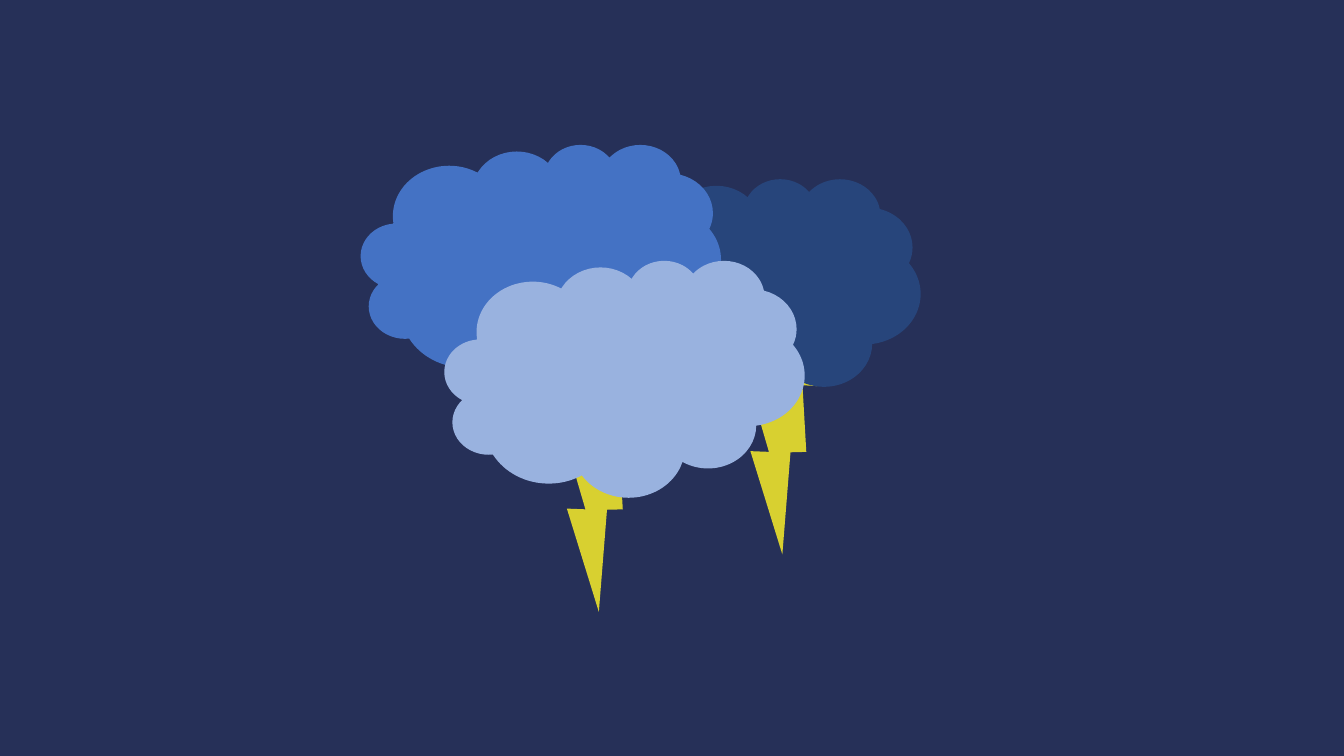
from pptx import Presentation
from pptx import util as u
from pptx.dml.color import RGBColor
from pptx.enum import shapes

COLOURS = {
    "night": "263058",
    "bolt": "D8D030",
    "back cloud": "27457B",
    "middle cloud": "4472C4",
    "front cloud": "99B2DF",
}
WIDTH, HEIGHT = 13.33, 7.5
BOLT_SIZE, BOLT_TILT = (1.54, 2.21), 33.2
CLOUD_SIZE = (3.57, 2.35)

presentation = Presentation()
presentation.slide_width = u.Inches(WIDTH)
presentation.slide_height = u.Inches(HEIGHT)
slide = presentation.slides.add_slide(presentation.slide_layouts[6])


def add_flat_shape(kind, corner, size, colour, tilt=0):
    """Add a shape with a plain fill, no outline and no shadow; lengths in inches."""
    shape = slide.shapes.add_shape(kind, *map(u.Inches, corner + size))
    shape.rotation = tilt
    shape.shadow.inherit = False
    shape.fill.solid()
    shape.fill.fore_color.rgb = RGBColor.from_string(COLOURS[colour])
    shape.line.fill.background()


add_flat_shape(shapes.MSO_SHAPE.RECTANGLE, (0, 0), (WIDTH, HEIGHT), "night")

for corner in ((6.95, 3.05), (5.13, 3.62)):
    add_flat_shape(shapes.MSO_SHAPE.LIGHTNING_BOLT, corner, BOLT_SIZE, "bolt", BOLT_TILT)

clouds = {
    "back cloud": (5.56, 1.77),
    "middle cloud": (3.58, 1.43),
    "front cloud": (4.41, 2.58),
}
for colour, corner in clouds.items():
    add_flat_shape(shapes.MSO_SHAPE.CLOUD, corner, CLOUD_SIZE, colour)

presentation.save("out.pptx")
